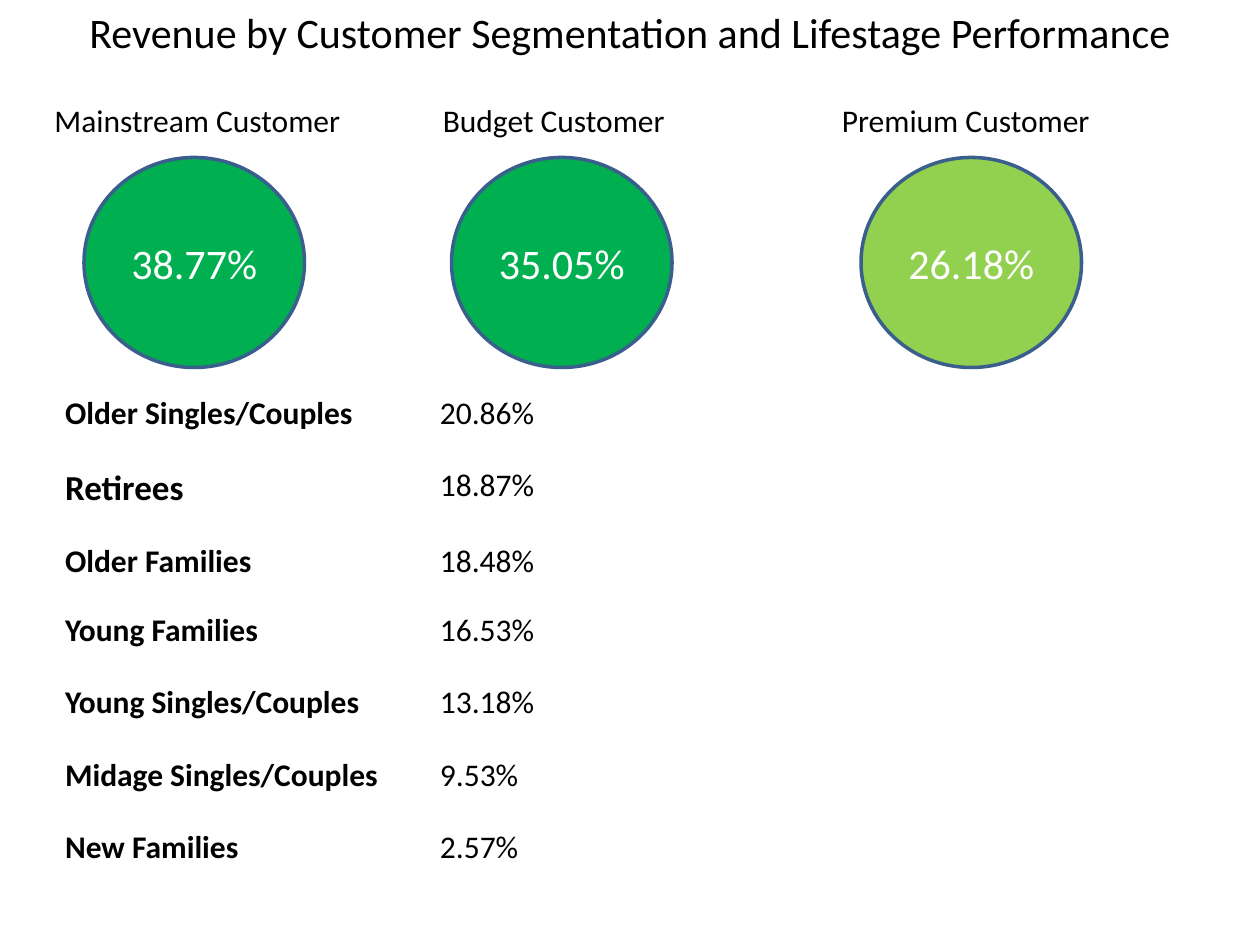
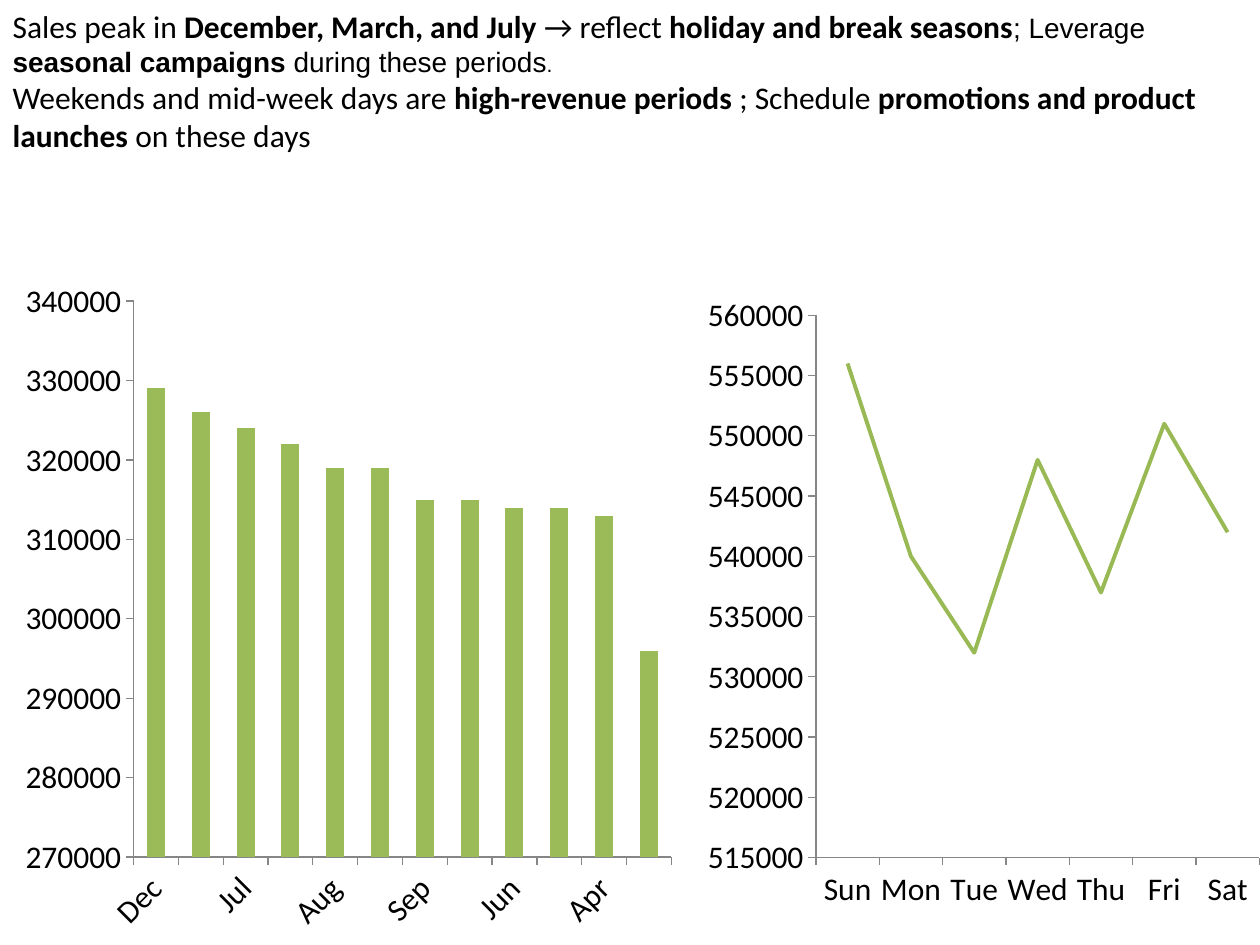
from lxml.etree import SubElement
from pptx import Presentation
from pptx.chart.data import CategoryChartData as ChartData
from pptx.dml.color import RGBColor
from pptx.enum.chart import XL_CHART_TYPE as ChartKind, XL_TICK_MARK as Tick
from pptx.enum.shapes import MSO_SHAPE as Shape
from pptx.enum.text import MSO_ANCHOR as Anchor, MSO_AUTO_SIZE as AutoSize, PP_ALIGN as Align
from pptx.oxml.ns import qn
from pptx.util import Inches, Pt

COLUMNS, ROWS = 120, 90
UNIT = 1 / 12
TITLE_ONLY = 5
BLACK, WHITE, OUTLINE, AXIS = "000000", "FFFFFF", "3A5F8C", "868686"
STRONG, LIGHT, BAR, TREND = "00B050", "92D050", "9BBB59", "98B954"

BODY = {"name": "Calibri", "size": Pt(18), "bold": False}
BOLD = BODY | {"bold": True}
LARGE = BODY | {"size": Pt(24)}
ARIAL = {"name": "Arial", "size": Pt(16), "bold": False}
ARIAL_BOLD = ARIAL | {"bold": True}

SEGMENTS = [
    ("Mainstream Customer", "38.77%", STRONG, 8, 4, 30),
    ("Budget Customer", "35.05%", STRONG, 43, 41, 24),
    ("Premium Customer", "26.18%", LIGHT, 82, 79, 26),
]
LIFESTAGES = [
    ("Older Singles/Couples", "20.86%", 6.87),
    ("Retirees", "18.87%", 7.2),
    ("Older Families", "18.48%", 6.6),
    ("Young Families", "16.53%", 6.87),
    ("Young Singles/Couples", "13.18%", 6.87),
    ("Midage Singles/Couples", "9.53%", 6.87),
    ("New Families", "2.57%", 6.6),
]
MONTHS = {
    "Dec": 329000, "Mar": 326000, "Jul": 324000, "Oct": 322000,
    "Aug": 319000, "Jan": 319000, "Sep": 315000, "May": 315000,
    "Jun": 314000, "Nov": 314000, "Apr": 313000, "Feb": 296000,
}
WEEKDAYS = {
    "Sun": 556000, "Mon": 540000, "Tue": 532000, "Wed": 548000,
    "Thu": 537000, "Fri": 551000, "Sat": 542000,
}
FINDINGS = [
    [("Sales peak in ", BODY), ("December, March, and July", BOLD),
     (" → reflect ", BODY), ("holiday and break seasons", BOLD),
     ("; Leverage ", ARIAL), ("seasonal campaigns", ARIAL_BOLD),
     (" during these periods", ARIAL), (".", ARIAL | {"size": Pt(12)})],
    [("Weekends and mid-week days are ", BODY), ("high-revenue periods ", BOLD),
     ("; Schedule ", BODY), ("promotions and product launches", BOLD),
     (" on these days", BODY)],
]


def grid(*cells):
    """Turn grid columns and rows into lengths."""
    return [Inches(cell * UNIT) for cell in cells]


def color(value):
    """Turn a hex string into a colour."""
    return RGBColor.from_string(value)


def style_font(font, values, ink=BLACK):
    """Apply format values and a colour to a font."""
    for name, value in values.items():
        setattr(font, name, value)
    font.color.rgb = color(ink)


def write(frame, paragraphs, align=Align.LEFT, ink=BLACK):
    """Fill a text frame with paragraphs of formatted spans."""
    for index, spans in enumerate(paragraphs):
        para = frame.paragraphs[0] if index == 0 else frame.add_paragraph()
        para.alignment = align
        for text, values in spans:
            span = para.add_run()
            span.text = text
            style_font(span.font, values, ink)


def add_page(deck, paragraphs, height, align, anchor):
    """Add a page whose title spans the top edge."""
    page = deck.slides.add_slide(deck.slide_layouts[TITLE_ONLY])
    title = page.shapes.title
    title.left, title.top, title.width, title.height = grid(0, 0, COLUMNS, height)
    frame = title.text_frame
    frame.auto_size, frame.vertical_anchor = AutoSize.NONE, anchor
    write(frame, paragraphs, align)
    return page


def add_label(page, text, left, width):
    """Add a segment name above its circle."""
    frame = page.shapes.add_textbox(*grid(left, 9, width, 4.8)).text_frame
    frame.word_wrap = False
    write(frame, [[(text, BODY)]])


def add_circle(page, text, fill, left):
    """Add a filled circle with its revenue share."""
    circle = page.shapes.add_shape(Shape.OVAL, *grid(left, 15, 21, 20))
    circle.shadow.inherit = False
    circle.fill.solid()
    circle.fill.fore_color.rgb = color(fill)
    circle.line.color.rgb = color(OUTLINE)
    circle.line.width = Pt(2)
    circle.text_frame.vertical_anchor = Anchor.MIDDLE
    write(circle.text_frame, [[(text, LARGE)]], Align.CENTER, WHITE)


def add_lifestage_table(page):
    """Add the plain table of lifestage shares."""
    frame = page.shapes.add_table(len(LIFESTAGES), 2, *grid(5, 37, 104, 48))
    table = frame.table
    table.first_row = table.horz_banding = False
    for column, width in zip(table.columns, grid(35.7, 68.3)):
        column.width = width
    for index, (stage, share, height) in enumerate(LIFESTAGES):
        table.rows[index].height = grid(height)[0]
        stage_font = BOLD | {"size": Pt(20 if stage == "Retirees" else 18)}
        for column, span in enumerate([(stage, stage_font), (share, BODY)]):
            cell = table.cell(index, column)
            cell.fill.background()
            write(cell.text_frame, [[span]])


def place_plot(chart, shares):
    """Fix the inner plot area as shares of the chart."""
    area = chart._chartSpace.chart.plotArea
    for old in area.findall(qn("c:layout")):
        area.remove(old)
    layout = area.makeelement(qn("c:layout"))
    area.insert(0, layout)
    manual = SubElement(layout, qn("c:manualLayout"))
    settings = [("layoutTarget", "inner"), ("xMode", "edge"), ("yMode", "edge")]
    for name, value in settings + list(zip("xywh", shares)):
        SubElement(manual, qn(f"c:{name}")).set("val", str(value))


def add_sales_chart(page, kind, sales, cells, shares, scale):
    """Add a chart of sales with one series and plain axes."""
    data = ChartData(number_format="0")
    data.categories = list(sales)
    data.add_series("Series 1", list(sales.values()))
    chart = page.shapes.add_chart(kind, *grid(*cells), data).chart
    chart.has_legend = chart.has_title = False
    style_font(chart.font, BODY)
    for axis in (chart.category_axis, chart.value_axis):
        axis.has_major_gridlines = False
        axis.major_tick_mark, axis.minor_tick_mark = Tick.OUTSIDE, Tick.NONE
        axis.format.line.color.rgb = color(AXIS)
    for name, value in scale.items():
        setattr(chart.value_axis, name, value)
    labels = chart.value_axis.tick_labels
    labels.number_format, labels.number_format_is_linked = "0", False
    chart.plots[0].vary_by_categories = False
    place_plot(chart, shares)
    return chart


def add_month_chart(page):
    """Add the columns of monthly sales with slanted labels."""
    scale = {"minimum_scale": 270000, "maximum_scale": 340000, "major_unit": 10000}
    chart = add_sales_chart(page, ChartKind.COLUMN_CLUSTERED, MONTHS,
                            (0, 23, 64, 71), (0.199, 0.08, 0.801, 0.746), scale)
    plot = chart.plots[0]
    plot.gap_width = 150
    fill = plot.series[0].format.fill
    fill.solid()
    fill.fore_color.rgb = color(BAR)
    axis = chart.category_axis
    style_font(axis.tick_labels.font, BODY)
    axis._element.find(qn("c:txPr")).find(qn("a:bodyPr")).set("rot", "-2700000")


def add_weekday_chart(page):
    """Add the line of sales by weekday."""
    scale = {"minimum_scale": 515000, "maximum_scale": 560000, "major_unit": 5000}
    chart = add_sales_chart(page, ChartKind.LINE, WEEKDAYS,
                            (64, 23, 56, 67), (0.245, 0.105, 0.755, 0.771), scale)
    series = chart.plots[0].series[0]
    series.smooth = False
    series.format.line.color.rgb = color(TREND)
    series.format.line.width = Pt(2.25)


def main():
    """Build the two pages and save the deck."""
    deck = Presentation()
    deck.slide_width, deck.slide_height = grid(COLUMNS, ROWS)
    heading = "Revenue by Customer Segmentation and Lifestage Performance"
    page = add_page(deck, [[(heading, LARGE)]], 6, Align.CENTER, Anchor.TOP)
    for name, share, fill, circle_left, label_left, label_width in SEGMENTS:
        add_circle(page, share, fill, circle_left)
        add_label(page, name, label_left, label_width)
    add_lifestage_table(page)

    page = add_page(deck, FINDINGS, 15.3, Align.LEFT, Anchor.MIDDLE)
    add_month_chart(page)
    add_weekday_chart(page)
    deck.save("out.pptx")


if __name__ == "__main__":
    main()
